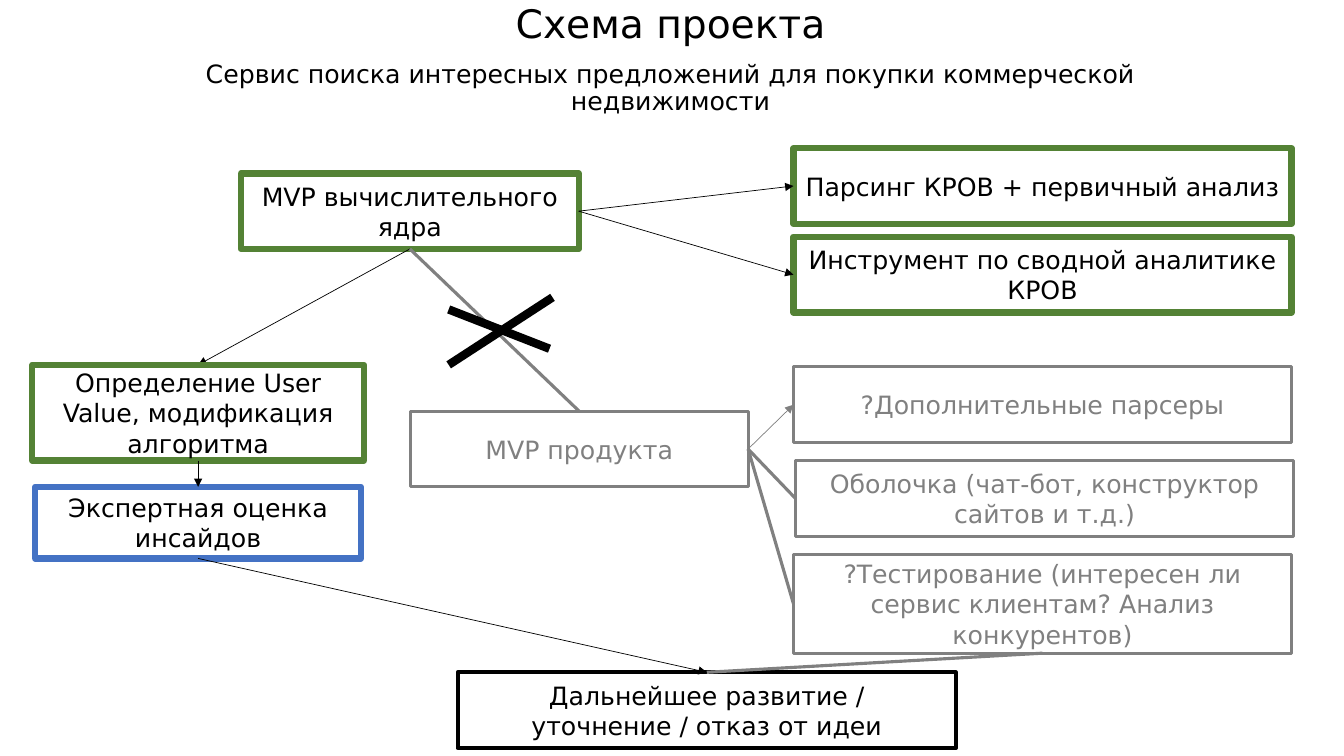
"""Build the project scheme slide: titled boxes joined by arrows, with one link crossed out."""
from pptx import Presentation
from pptx.dml.color import RGBColor
from pptx.enum.shapes import MSO_CONNECTOR, MSO_SHAPE
from pptx.enum.text import MSO_ANCHOR, MSO_AUTO_SIZE, PP_ALIGN
from pptx.oxml.ns import qn
from pptx.util import Inches, Pt
from lxml import etree

RECTANGLE = MSO_SHAPE.RECTANGLE
STRAIGHT = MSO_CONNECTOR.STRAIGHT
CENTER = PP_ALIGN.CENTER
MIDDLE, BOTTOM_ANCHOR = MSO_ANCHOR.MIDDLE, MSO_ANCHOR.BOTTOM
NO_AUTOFIT = MSO_AUTO_SIZE.NONE
TOP, LEFT, BOTTOM, RIGHT = range(4)

FONT = "DejaVu Sans"
BLACK = RGBColor(0x00, 0x00, 0x00)
WHITE = RGBColor(0xFF, 0xFF, 0xFF)
GREEN = RGBColor(0x54, 0x82, 0x35)
BLUE = RGBColor(0x44, 0x72, 0xC4)
GRAY = RGBColor(0x80, 0x80, 0x80)


def write_text(paragraph, text, size=18, color=BLACK, line_spacing=1.0, space_before=0):
    """Add centred text to a paragraph."""
    paragraph.alignment = CENTER
    paragraph.line_spacing = line_spacing
    paragraph.space_before = Pt(space_before)
    run = paragraph.add_run()
    run.text = text
    run.font.name = FONT
    run.font.size = Pt(size)
    run.font.color.rgb = color


def style_connector(connector, color, width, arrow=False):
    """Set the line of a connector, drop its shadow and add an arrowhead if asked."""
    connector.line.color.rgb = color
    connector.line.width = Pt(width)
    properties = connector._element.spPr
    if arrow:
        etree.SubElement(properties.find(qn("a:ln")), qn("a:tailEnd"), type="triangle")
    etree.SubElement(properties, qn("a:effectLst"))


presentation = Presentation()
presentation.slide_width = Inches(13.33)
presentation.slide_height = Inches(7.5)
slide = presentation.slides.add_slide(presentation.slide_layouts[5])

title = slide.shapes.title
title.left, title.top = Inches(1.65), Inches(-0.01)
title.width, title.height = Inches(10), Inches(1.21)
title_frame = title.text_frame
title_frame.word_wrap = True
title_frame.auto_size = NO_AUTOFIT
title_frame.vertical_anchor = BOTTOM_ANCHOR
write_text(title_frame.paragraphs[0], "Схема проекта", size=28, line_spacing=0.9)
write_text(title_frame.add_paragraph(),
           "Сервис поиска интересных предложений для покупки коммерческой недвижимости",
           line_spacing=0.9, space_before=10)

box_data = [
    ("core", "MVP вычислительного ядра", 2.39, 1.72, 3.35, 0.75, GREEN, 4.5),
    ("product", "MVP продукта", 4.07, 4.08, 3.35, 0.75, GRAY, 2.25),
    ("parsing", "Парсинг КРОВ + первичный анализ", 7.87, 1.47, 4.94, 0.75, GREEN, 4.5),
    ("analytics", "Инструмент по сводной аналитике КРОВ", 7.87, 2.35, 4.94, 0.75, GREEN, 4.5),
    ("future", "Дальнейшее развитие / уточнение / отказ от идеи",
     4.54, 6.67, 4.94, 0.75, BLACK, 3),
    ("shell", "Оболочка (чат-бот, конструктор сайтов и т.д.)",
     7.89, 4.57, 4.94, 0.75, GRAY, 2.25),
    ("testing", "?Тестирование (интересен ли сервис клиентам? Анализ конкурентов)",
     7.87, 5.5, 4.94, 0.98, GRAY, 2.25),
    ("parsers", "?Дополнительные парсеры", 7.87, 3.64, 4.94, 0.75, GRAY, 2.25),
    ("insights", "Экспертная оценка инсайдов", 0.35, 4.83, 3.23, 0.71, BLUE, 4.5),
    ("user_value", "Определение User Value, модификация алгоритма",
     0.32, 3.62, 3.29, 0.95, GREEN, 4.5),
]
boxes = {}
for name, text, left, top, width, height, color, line_width in box_data:
    box = slide.shapes.add_shape(RECTANGLE, Inches(left), Inches(top),
                                 Inches(width), Inches(height))
    box.shadow.inherit = False
    box.fill.solid()
    box.fill.fore_color.rgb = WHITE
    box.line.color.rgb = color
    box.line.width = Pt(line_width)
    box.text_frame.word_wrap = True
    box.text_frame.vertical_anchor = MIDDLE
    write_text(box.text_frame.paragraphs[0], text, color=GRAY if color == GRAY else BLACK)
    boxes[name] = box

links = [
    ("core", RIGHT, "parsing", LEFT, BLACK, 0.5, True),
    ("core", RIGHT, "analytics", LEFT, BLACK, 0.5, True),
    ("core", BOTTOM, "product", TOP, GRAY, 2.25, False),
    ("testing", BOTTOM, "future", TOP, GRAY, 2.25, False),
    ("product", RIGHT, "shell", LEFT, GRAY, 2.25, False),
    ("product", RIGHT, "testing", LEFT, GRAY, 2.25, False),
    ("product", RIGHT, "parsers", LEFT, GRAY, 0.5, True),
    ("core", BOTTOM, "user_value", TOP, BLACK, 0.5, True),
    ("insights", BOTTOM, "future", TOP, BLACK, 0.5, True),
    ("user_value", BOTTOM, "insights", TOP, BLACK, 0.5, True),
]
links_behind_target = ("shell", "user_value")
for source, source_side, target, target_side, color, width, arrow in links:
    link = slide.shapes.add_connector(STRAIGHT, 0, 0, 0, 0)
    link.begin_connect(boxes[source], source_side)
    link.end_connect(boxes[target], target_side)
    style_connector(link, color, width, arrow)
    if target in links_behind_target:
        boxes[target]._element.addprevious(link._element)

for ends in [(5.48, 2.95, 4.45, 3.62), (4.45, 3.07, 5.45, 3.46)]:
    cross_stroke = slide.shapes.add_connector(STRAIGHT, *map(Inches, ends))
    style_connector(cross_stroke, BLACK, 6)

presentation.save("out.pptx")
